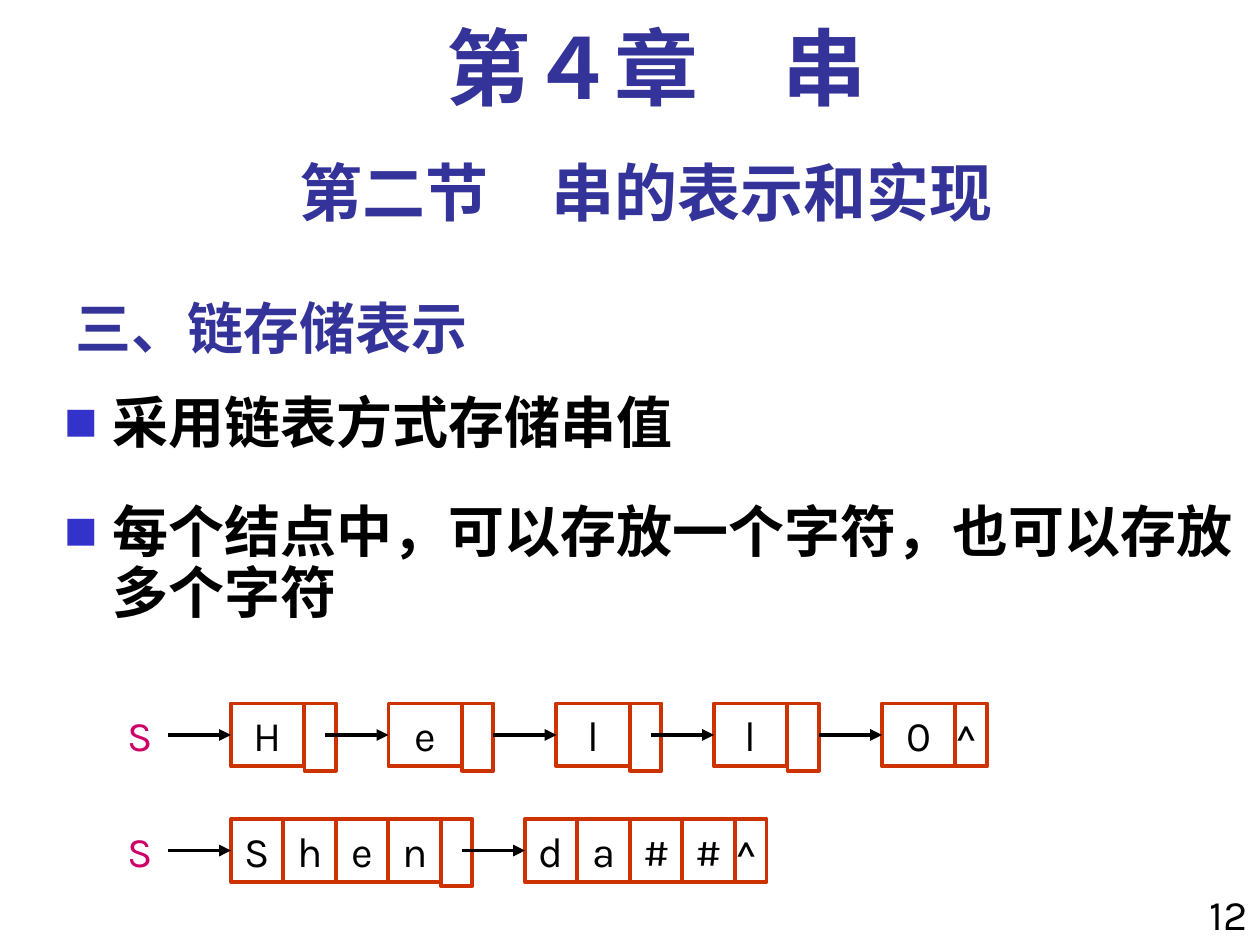
from lxml import etree
from pptx import Presentation
from pptx.dml.color import RGBColor
from pptx.enum.shapes import MSO_CONNECTOR, MSO_SHAPE
from pptx.enum.text import MSO_ANCHOR, PP_ALIGN
from pptx.oxml.ns import qn
from pptx.util import Pt

PX = 7620
NAVY = RGBColor(0x33, 0x33, 0x99)
BLUE = RGBColor(0x33, 0x33, 0xCC)
RED = RGBColor(0xCC, 0x33, 0x00)
PINK = RGBColor(0xCC, 0x00, 0x66)
BLACK = RGBColor(0, 0, 0)
KARLA, CJK, TIMES = "Karla", "Noto Sans CJK SC", "Times New Roman"
LEFT, CENTER, RIGHT = PP_ALIGN.LEFT, PP_ALIGN.CENTER, PP_ALIGN.RIGHT
TOP, BOTTOM = MSO_ANCHOR.TOP, MSO_ANCHOR.BOTTOM
RECT, STRAIGHT = MSO_SHAPE.RECTANGLE, MSO_CONNECTOR.STRAIGHT
CELL_H, POINTER_H, POINTER_W, ARROW_W = 60, 64, 30, 60


def emu(*lengths):
    """Turn px lengths into EMU."""
    return [n * PX for n in lengths]


def add_bullet(p):
    """Give a paragraph a hanging square bullet."""
    pPr = p._p.get_or_add_pPr()
    pPr.set("marL", str(45 * PX))
    pPr.set("indent", str(-45 * PX))
    clr = etree.SubElement(pPr, qn("a:buClr"))
    etree.SubElement(clr, qn("a:srgbClr"), val=str(BLUE))
    etree.SubElement(pPr, qn("a:buSzPct"), val="60000")
    etree.SubElement(pPr, qn("a:buFont"), typeface=CJK)
    etree.SubElement(pPr, qn("a:buChar"), char="■")


def write(sp, *lines, size=24, font=KARLA, color=BLACK, bold=False, align=LEFT,
          anchor=TOP, inset=12, spacing=None, before=0, bullet=False):
    """Fill a shape with formatted paragraphs."""
    tf = sp.text_frame
    tf.word_wrap = True
    tf.vertical_anchor = anchor
    tf.margin_left = tf.margin_right = inset * PX
    tf.margin_top = tf.margin_bottom = 6 * PX
    for i, line in enumerate(lines):
        p = tf.add_paragraph() if i else tf.paragraphs[0]
        p.alignment = align
        p.space_before = Pt(before if i else 0)
        if spacing:
            p.line_spacing = spacing
        if bullet:
            add_bullet(p)
        r = p.add_run()
        r.text = line
        r.font.size, r.font.name, r.font.bold = Pt(size), font, bold
        r.font.color.rgb = color
        etree.SubElement(r._r.get_or_add_rPr(), qn("a:ea"), typeface=CJK)


def add_text(shapes, box, *lines, **fmt):
    """Add a text box."""
    write(shapes.add_textbox(*emu(*box)), *lines, **fmt)


def add_cell(shapes, box, text="", **fmt):
    """Add an outlined cell of a list node."""
    sp = shapes.add_shape(RECT, *emu(*box))
    sp.shadow.inherit = False
    sp.fill.background()
    sp.line.color.rgb = RED
    sp.line.width = Pt(2.25)
    if text:
        write(sp, text, **fmt)
    return sp


def add_arrow(shapes, cell, x, y):
    """Point an arrow at the left side of a cell."""
    c = shapes.add_connector(STRAIGHT, *emu(x - ARROW_W, y, x, y))
    c.end_connect(cell, 1)
    c.line.color.rgb = BLACK
    c.line.width = Pt(2.25)
    etree.SubElement(c.line._get_or_add_ln(), qn("a:tailEnd"), type="triangle")
    etree.SubElement(c._element.spPr, qn("a:effectLst"))


def add_chain(slide, left, top, cell_w, nodes):
    """Draw a linked list from (offset, letters) nodes, ending in a null pointer."""
    shapes = slide.shapes.add_group_shape().shapes
    add_text(shapes, (left, top, 60, CELL_H), "S", color=PINK)
    for n, (offset, letters) in enumerate(nodes, 1):
        x = left + offset
        cells = [add_cell(shapes, (x + i * cell_w, top, cell_w, CELL_H), letter, align=CENTER)
                 for i, letter in enumerate(letters)]
        end = x + len(letters) * cell_w
        if n == len(nodes):
            add_cell(shapes, (end, top, POINTER_W, CELL_H), "^", inset=0)
        else:
            add_cell(shapes, (end, top, POINTER_W, POINTER_H))
        add_arrow(shapes, cells[0], x, top + CELL_H // 2)


def add_headings(slide):
    """Place the chapter, section and topic headings."""
    title = slide.shapes.title
    title.left, title.top, title.width, title.height = emu(60, 260, 750, 90)
    write(title, "三、链存储表示", size=32, font=CJK, color=NAVY, bold=True, anchor=BOTTOM)
    add_text(slide.shapes, (80, 20, 1090, 100), "第４章\u3000串".replace("\u3000", "　"),
             size=48, font=TIMES, color=NAVY, bold=True, align=CENTER, spacing=0.9)
    add_text(slide.shapes, (60, 140, 1110, 84), "第二节　串的表示和实现",
             size=36, color=NAVY, bold=True, align=CENTER)


def add_body(slide):
    """Place the bulleted points."""
    add_text(slide.shapes, (50, 370, 1150, 530), "采用链表方式存储串值",
             "每个结点中，可以存放一个字符，也可以存放多个字符",
             size=32, font=CJK, bold=True, spacing=0.9, before=28, bullet=True)


def main():
    """Build the slide."""
    prs = Presentation()
    prs.slide_width, prs.slide_height = emu(1200, 900)
    slide = prs.slides.add_slide(prs.slide_layouts[5])
    add_headings(slide)
    add_body(slide)
    add_chain(slide, 110, 670, 70, [(110, "H"), (260, "e"), (420, "l"), (570, "l"), (730, "0")])
    add_chain(slide, 110, 780, 50, [(110, "Shen"), (390, "da##")])
    add_text(slide.shapes, (1120, 840, 80, 70), "12", align=RIGHT)
    prs.save("out.pptx")


if __name__ == "__main__":
    main()
